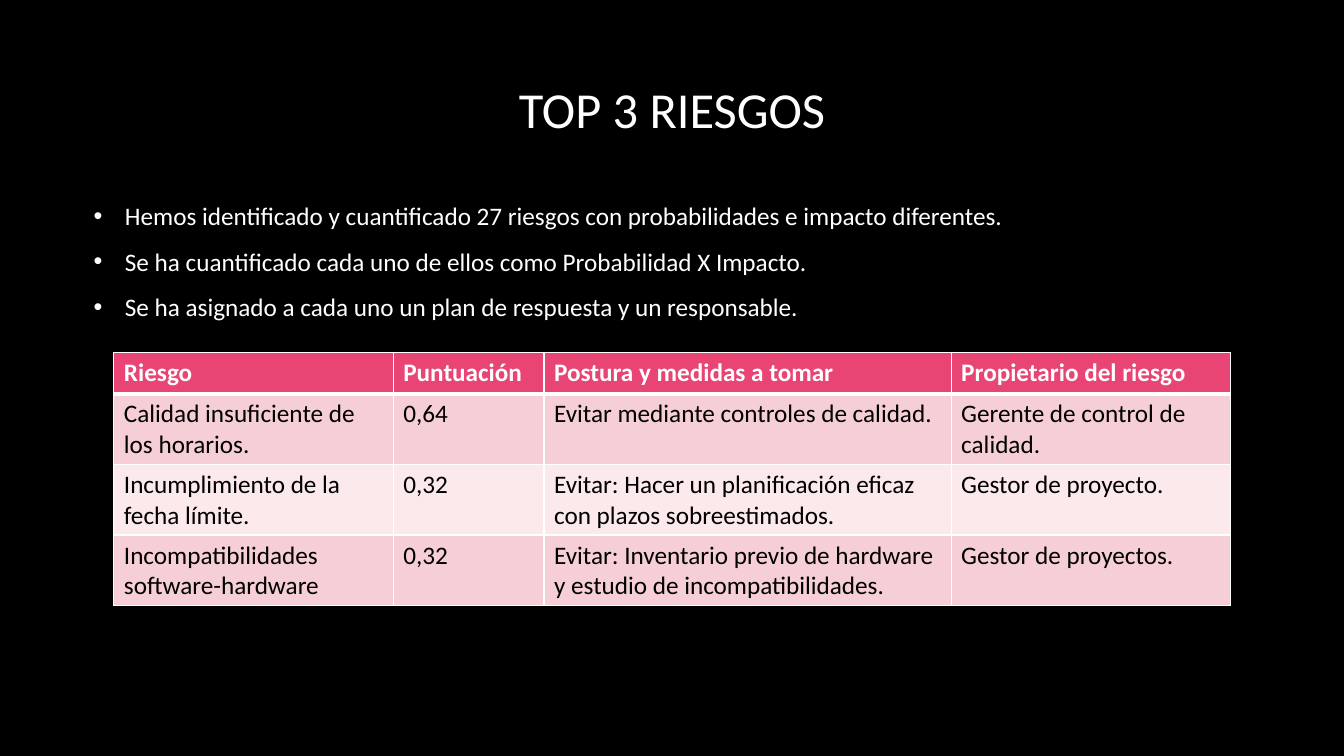
from lxml import etree
from pptx import Presentation
from pptx.dml.color import RGBColor
from pptx.enum.text import MSO_ANCHOR, MSO_AUTO_SIZE, PP_ALIGN
from pptx.oxml.ns import qn
from pptx.util import Cm, Pt

CENTER = PP_ALIGN.CENTER
MIDDLE = MSO_ANCHOR.MIDDLE
GROW = MSO_AUTO_SIZE.SHAPE_TO_FIT_TEXT

FONT = "Calibri"
WHITE, BLACK = "FFFFFF", "000000"
HEADER_FILL = "E84574"
BAND_FILLS = ("F6CFD6", "FBE9EB")

POINTS = [
    "Hemos identificado y cuantificado 27 riesgos con probabilidades e impacto diferentes.",
    "Se ha cuantificado cada uno de ellos como Probabilidad X Impacto.",
    "Se ha asignado a cada uno un plan de respuesta y un responsable.",
]
RISKS = [
    ("Riesgo", "Puntuación", "Postura y medidas a tomar", "Propietario del riesgo"),
    ("Calidad insuficiente de los horarios.", "0,64",
     "Evitar mediante controles de calidad.", "Gerente de control de calidad."),
    ("Incumplimiento de la fecha límite.", "0,32",
     "Evitar: Hacer un planificación eficaz con plazos sobreestimados.", "Gestor de proyecto."),
    ("Incompatibilidades software-hardware", "0,32",
     "Evitar: Inventario previo de hardware y estudio de incompatibilidades.",
     "Gestor de proyectos."),
]
COL_WIDTHS = (7.04, 3.8, 10.26, 7.04)
ROW_HEIGHTS = (1.03, 1.78, 1.78, 1.78)


def color(value):
    return RGBColor.from_string(value)


class SlideBuilder:
    def __init__(self, slide, background):
        self.slide = slide
        fill = slide.background.fill
        fill.solid()
        fill.fore_color.rgb = color(background)

    def run(self, p, text, size=18, fore=WHITE, bold=False):
        r = p.add_run()
        r.text = text
        r.font.name = FONT
        r.font.size = Pt(size)
        r.font.bold = bold
        r.font.color.rgb = color(fore)

    def box(self, left, top, width, height):
        sp = self.slide.shapes.add_textbox(Cm(left), Cm(top), Cm(width), Cm(height))
        return sp.text_frame

    def title(self, text, *place):
        tf = self.box(*place)
        tf.word_wrap = True
        tf.vertical_anchor = MIDDLE
        p = tf.paragraphs[0]
        p.alignment = CENTER
        self.run(p, text, size=36)

    def bullets(self, items, *place):
        tf = self.box(*place)
        tf.word_wrap = False
        tf.auto_size = GROW
        for i, item in enumerate(items):
            p = tf.add_paragraph() if i else tf.paragraphs[0]
            p.line_spacing = 1.5
            pPr = p._p.get_or_add_pPr()
            pPr.set("marL", str(Cm(0.79)))
            pPr.set("indent", str(-Cm(0.79)))
            etree.SubElement(pPr, qn("a:buFont"), typeface="Arial")
            etree.SubElement(pPr, qn("a:buChar"), char="•")
            self.run(p, item)

    def border(self, cell, side, width):
        tcPr = cell._tc.get_or_add_tcPr()
        ln = etree.SubElement(tcPr, qn(f"a:ln{side}"), w=str(Pt(width)))
        fill = etree.SubElement(ln, qn("a:solidFill"))
        etree.SubElement(fill, qn("a:srgbClr"), val=WHITE)

    def table(self, rows, left, top, widths, heights):
        frame = self.slide.shapes.add_table(
            len(rows), len(widths), Cm(left), Cm(top), Cm(sum(widths)), Cm(sum(heights)))
        table = frame.table
        for column, width in zip(table.columns, widths):
            column.width = Cm(width)
        for i, (row, height) in enumerate(zip(rows, heights)):
            table.rows[i].height = Cm(height)
            header = i == 0
            back = HEADER_FILL if header else BAND_FILLS[(i - 1) % 2]
            for j, text in enumerate(row):
                cell = table.cell(i, j)
                for side in "LRTB":
                    heavy = (side == "B" and header) or (side == "T" and i == 1)
                    self.border(cell, side, 3 if heavy else 1)
                cell.fill.solid()
                cell.fill.fore_color.rgb = color(back)
                self.run(cell.text_frame.paragraphs[0], text,
                         fore=WHITE if header else BLACK, bold=header)


def main():
    prs = Presentation()
    prs.slide_width, prs.slide_height = Cm(33.87), Cm(19.05)
    s = SlideBuilder(prs.slides.add_slide(prs.slide_layouts[6]), BLACK)
    s.title("TOP 3 RIESGOS", 2.87, 0.71, 28.14, 4.04)
    s.bullets(POINTS, 2.11, 4.55, 23.7, 3.61)
    s.table(RISKS, 2.87, 8.89, COL_WIDTHS, ROW_HEIGHTS)
    prs.save("out.pptx")


if __name__ == "__main__":
    main()
